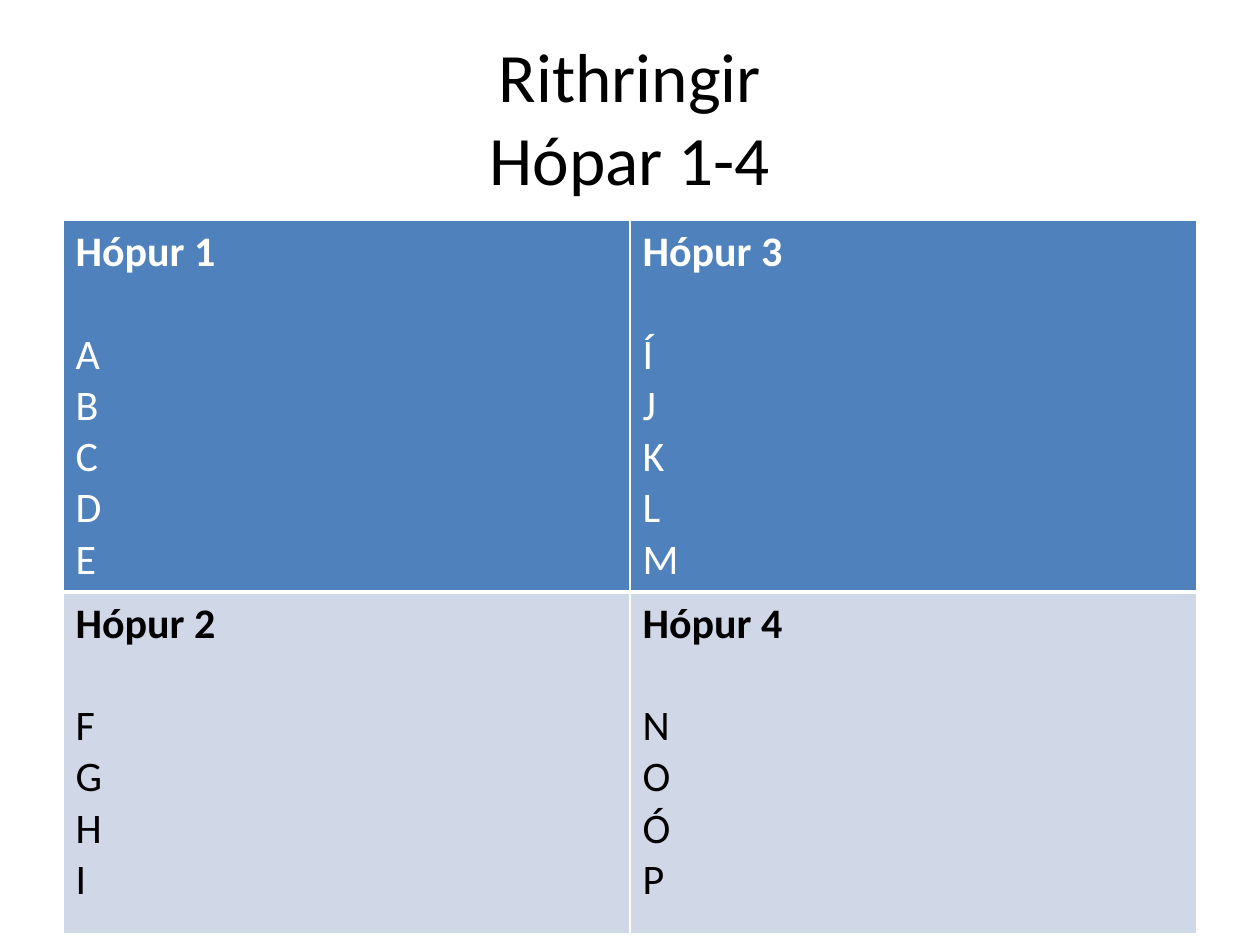
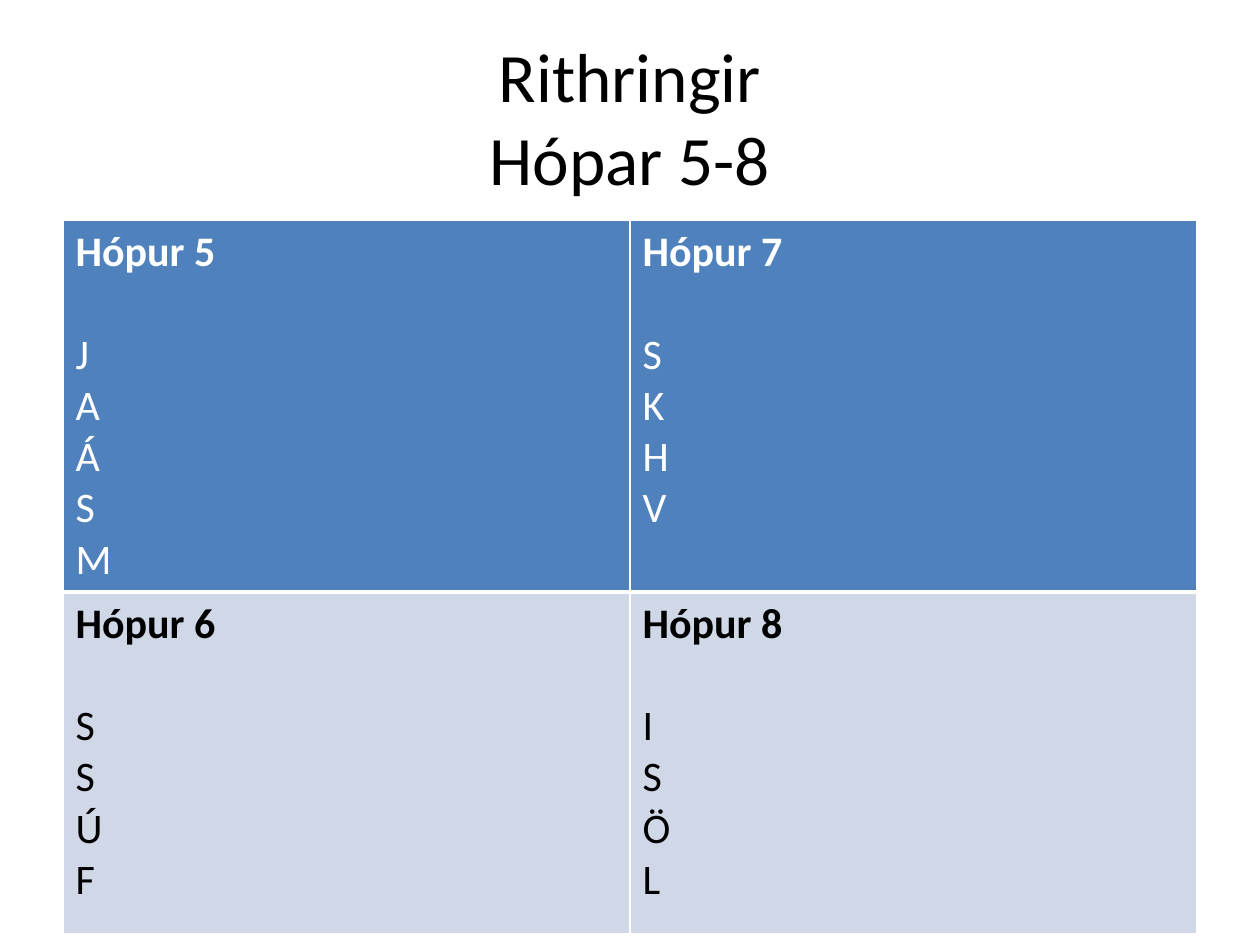
import lxml.etree
import pptx
import pptx.dml.color
import pptx.enum.text
import pptx.oxml.ns
import pptx.util

WHITE = pptx.dml.color.RGBColor(0xFF, 0xFF, 0xFF)
BLACK = pptx.dml.color.RGBColor(0x00, 0x00, 0x00)
BLUE = pptx.dml.color.RGBColor(0x4F, 0x81, 0xBD)
PALE_BLUE = pptx.dml.color.RGBColor(0xD0, 0xD8, 0xE8)

SLIDE_WIDTH = pptx.util.Inches(10)
SLIDE_HEIGHT = pptx.util.Inches(7.5)
MARGIN = int(SLIDE_WIDTH * 0.05)
CONTENT_WIDTH = SLIDE_WIDTH - 2 * MARGIN
TITLE_TOP = int(SLIDE_HEIGHT * 0.04)
TABLE_TOP = pptx.util.Inches(1.75)
ROW_HEIGHTS = [pptx.util.Inches(2.94), pptx.util.Inches(2.71)]
HEADING_GAP = pptx.util.Pt(29.3)

ROW_STYLES = [
    {"fill": BLUE, "text": WHITE, "borders": {"lnL": 1, "lnR": 1, "lnT": 1, "lnB": 3}},
    {"fill": PALE_BLUE, "text": BLACK, "borders": {"lnL": 1, "lnR": 1, "lnT": 3, "lnB": 1}},
]

GROUP_SLIDES = [
    {"first": 1, "members": ["ABCDE", "FGHI", "ÍJKLM", "NOÓP"]},
    {"first": 5, "members": ["JAÁSM", "SSÚF", "SKHV", "ISÖL"]},
]


def format_font(font, size, color, bold=False):
    values = {"name": "Calibri", "size": pptx.util.Pt(size), "bold": bold}
    for name, value in values.items():
        setattr(font, name, value)
    font.color.rgb = color


def add_border(cell, side, width):
    properties = cell._tc.get_or_add_tcPr()
    line = lxml.etree.SubElement(properties, pptx.oxml.ns.qn(f"a:{side}"), w=str(pptx.util.Pt(width)))
    fill = lxml.etree.SubElement(line, pptx.oxml.ns.qn("a:solidFill"))
    lxml.etree.SubElement(fill, pptx.oxml.ns.qn("a:srgbClr"), val=str(WHITE))


presentation = pptx.Presentation()
presentation.slide_width = SLIDE_WIDTH
presentation.slide_height = SLIDE_HEIGHT

for group_slide in GROUP_SLIDES:
    first = group_slide["first"]
    slide = presentation.slides.add_slide(presentation.slide_layouts[5])

    title = slide.shapes.title
    title_box = {
        "left": MARGIN,
        "top": TITLE_TOP,
        "width": CONTENT_WIDTH,
        "height": pptx.util.Inches(1.25),
    }
    for name, value in title_box.items():
        setattr(title, name, value)
    title.text_frame.text = f"Rithringir\vHópar {first}-{first + 3}"
    title.text_frame.auto_size = pptx.enum.text.MSO_AUTO_SIZE.NONE
    title.text_frame.vertical_anchor = pptx.enum.text.MSO_ANCHOR.MIDDLE
    title_paragraph = title.text_frame.paragraphs[0]
    title_paragraph.alignment = pptx.enum.text.PP_ALIGN.CENTER
    for run in title_paragraph.runs:
        format_font(run.font, 39.6, BLACK)

    table = slide.shapes.add_table(
        2, 2, MARGIN, TABLE_TOP, CONTENT_WIDTH, sum(ROW_HEIGHTS)
    ).table
    for row, height in zip(table.rows, ROW_HEIGHTS):
        row.height = height

    for index, members in enumerate(group_slide["members"]):
        column_index, row_index = divmod(index, 2)
        style = ROW_STYLES[row_index]
        cell = table.cell(row_index, column_index)
        for side, width in style["borders"].items():
            add_border(cell, side, width)
        cell.fill.solid()
        cell.fill.fore_color.rgb = style["fill"]

        cell.text = "\n".join([f"Hópur {first + index}", *members])
        paragraphs = cell.text_frame.paragraphs
        paragraphs[0].space_after = HEADING_GAP
        for line_number, paragraph in enumerate(paragraphs):
            format_font(paragraph.runs[0].font, 24, style["text"], bold=line_number == 0)

presentation.save("out.pptx")
